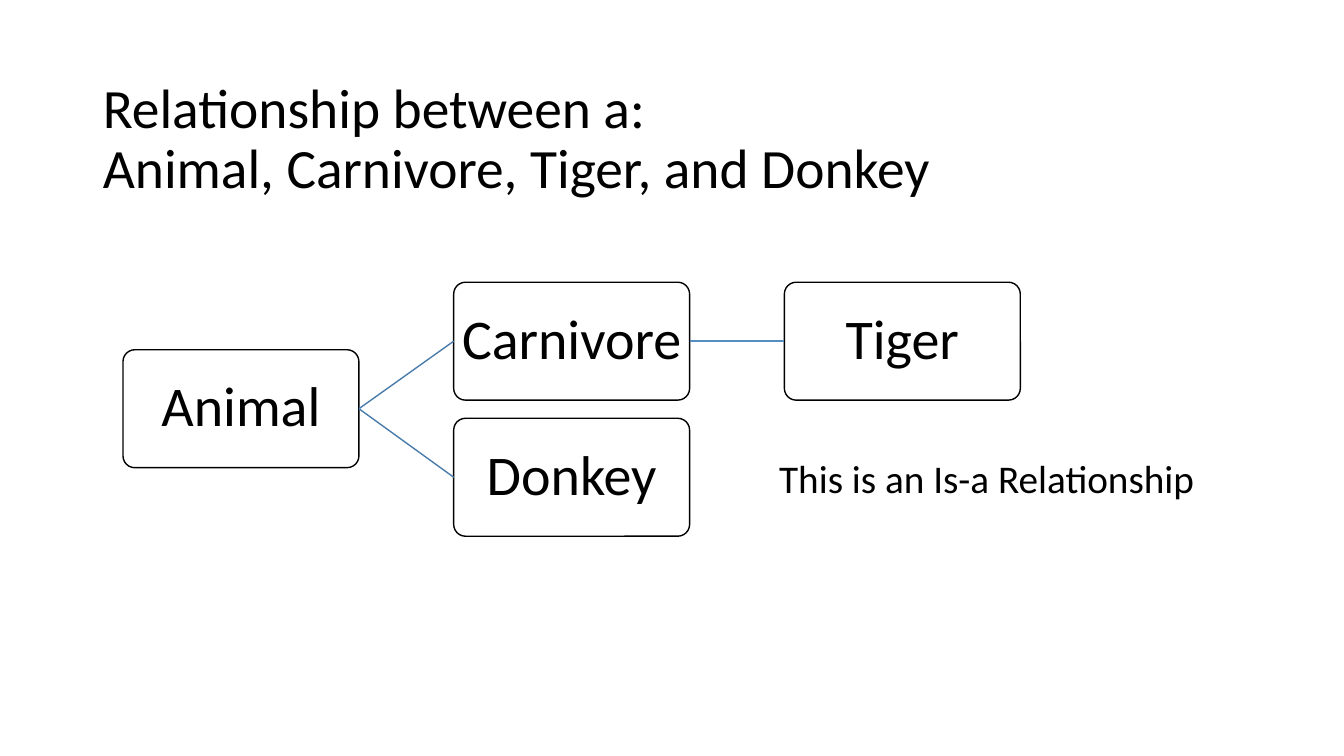
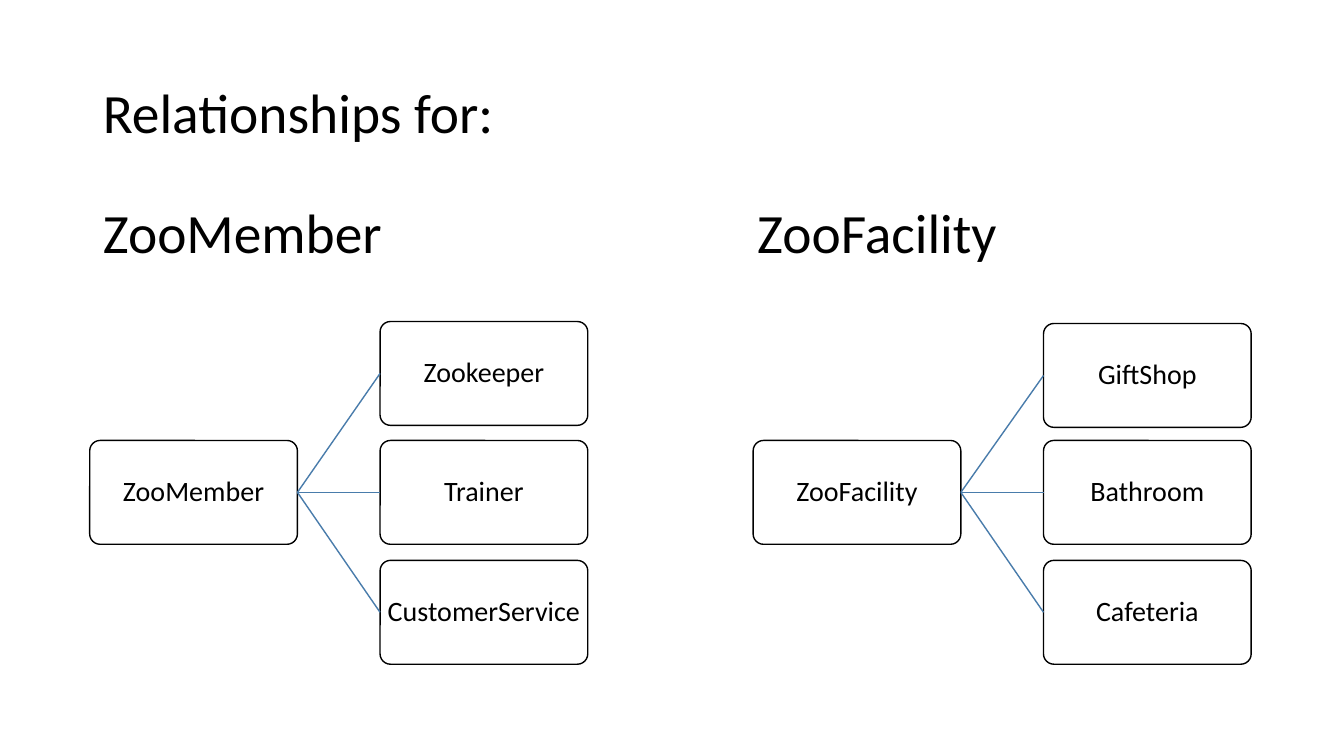
from lxml import etree
from pptx import Presentation
from pptx import util as u
from pptx.dml.color import RGBColor
from pptx.enum import shapes, text
from pptx.oxml.ns import qn

PX = 9144
FONT = "Calibri"
BLACK = RGBColor(0x00, 0x00, 0x00)
WHITE = RGBColor(0xFF, 0xFF, 0xFF)
LINK_COLORS = {1: RGBColor(0x49, 0x7C, 0xAB), 2: RGBColor(0x53, 0x8D, 0xC1)}
TITLE_LEFT, TITLE_TOP, TITLE_WIDTH = 92, 76, 1150
SECOND_HEADING_TAB = 649
LEFT_SITE, RIGHT_SITE = 1, 3


def set_text(frame, wording, size, align, spacing=1.0):
    frame.text = wording
    for paragraph in frame.paragraphs:
        paragraph.alignment = align
        paragraph.line_spacing = spacing
        paragraph.font.name = FONT
        paragraph.font.size = u.Pt(size)
        paragraph.font.color.rgb = BLACK


def add_tree(slide, left, column_step, width, height, size, nodes):
    boxes = {}
    for label, column, top, parent in nodes:
        box = slide.shapes.add_shape(
            shapes.MSO_SHAPE.ROUNDED_RECTANGLE,
            (left + column * column_step) * PX, top * PX, width * PX, height * PX)
        box.adjustments[0] = 0.1
        box.shadow.inherit = False
        box.fill.solid()
        box.fill.fore_color.rgb = WHITE
        box.line.color.rgb = BLACK
        box.line.width = u.Pt(1)
        frame = box.text_frame
        frame.margin_left = frame.margin_right = 0
        frame.margin_top = frame.margin_bottom = 0
        frame.vertical_anchor = text.MSO_ANCHOR.MIDDLE
        frame.word_wrap = False
        set_text(frame, label, size, text.PP_ALIGN.CENTER, 0.9)
        boxes[label] = box
        if parent:
            link = slide.shapes.add_connector(shapes.MSO_CONNECTOR.STRAIGHT, 0, 0, 0, 0)
            link.begin_connect(boxes[parent], RIGHT_SITE)
            link.end_connect(box, LEFT_SITE)
            link.line.color.rgb = LINK_COLORS[column]
            link.line.width = u.Pt(1)
            etree.SubElement(link._element.spPr, qn("a:effectLst"))


prs = Presentation()
prs.slide_width, prs.slide_height = 1333 * PX, 750 * PX

titles = [
    ("Relationship between a:\nAnimal, Carnivore, Tiger, and Donkey", 127),
    ("Relationships for:\nZooMember\tZooFacility", 197),
]
slides = []
for wording, height in titles:
    slide = prs.slides.add_slide(prs.slide_layouts[5])
    title = slide.shapes.title
    title.left, title.top = TITLE_LEFT * PX, TITLE_TOP * PX
    title.width, title.height = TITLE_WIDTH * PX, height * PX
    title.text_frame.auto_size = text.MSO_AUTO_SIZE.NONE
    title.text_frame.vertical_anchor = text.MSO_ANCHOR.MIDDLE
    set_text(title.text_frame, wording, 39.6, text.PP_ALIGN.LEFT, 0.9)
    slides.append(slide)
animal_slide, zoo_slide = slides

add_tree(animal_slide, 122, 328, 234, 117, 40, [
    ("Animal", 0, 347, None),
    ("Carnivore", 1, 280, "Animal"),
    ("Tiger", 2, 280, "Carnivore"),
    ("Donkey", 1, 415, "Animal"),
])
note = animal_slide.shapes.add_textbox(763 * PX, 446 * PX, 437 * PX, 57 * PX)
note.text_frame.word_wrap = False
set_text(note.text_frame, "This is an Is-a Relationship", 28, text.PP_ALIGN.LEFT)

headings = zoo_slide.shapes.title.text_frame.paragraphs[1]
headings.space_before = u.Pt(43)
tab_stops = etree.SubElement(headings._p.get_or_add_pPr(), qn("a:tabLst"))
etree.SubElement(tab_stops, qn("a:tab"), pos=str(SECOND_HEADING_TAB * PX), algn="l")
headings._p.pPr.insert_element_before(tab_stops, "a:defRPr", "a:extLst")

zoo_trees = [
    (89, "ZooMember", [("Zookeeper", 319), ("Trainer", 437), ("CustomerService", 556)]),
    (747, "ZooFacility", [("GiftShop", 321), ("Bathroom", 437), ("Cafeteria", 556)]),
]
for left, root, children in zoo_trees:
    nodes = [(root, 0, 437, None)] + [(label, 1, top, root) for label, top in children]
    add_tree(zoo_slide, left, 288, 206, 103, 20, nodes)

prs.save("out.pptx")
